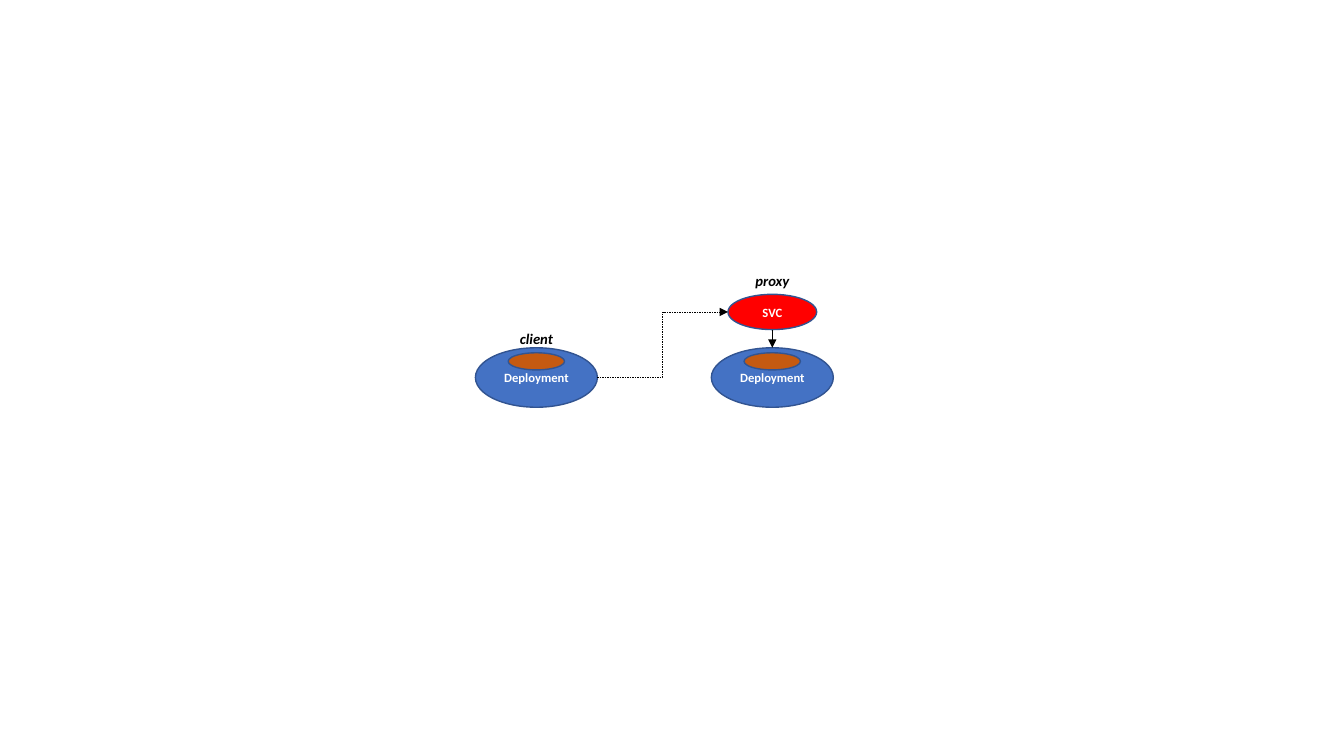
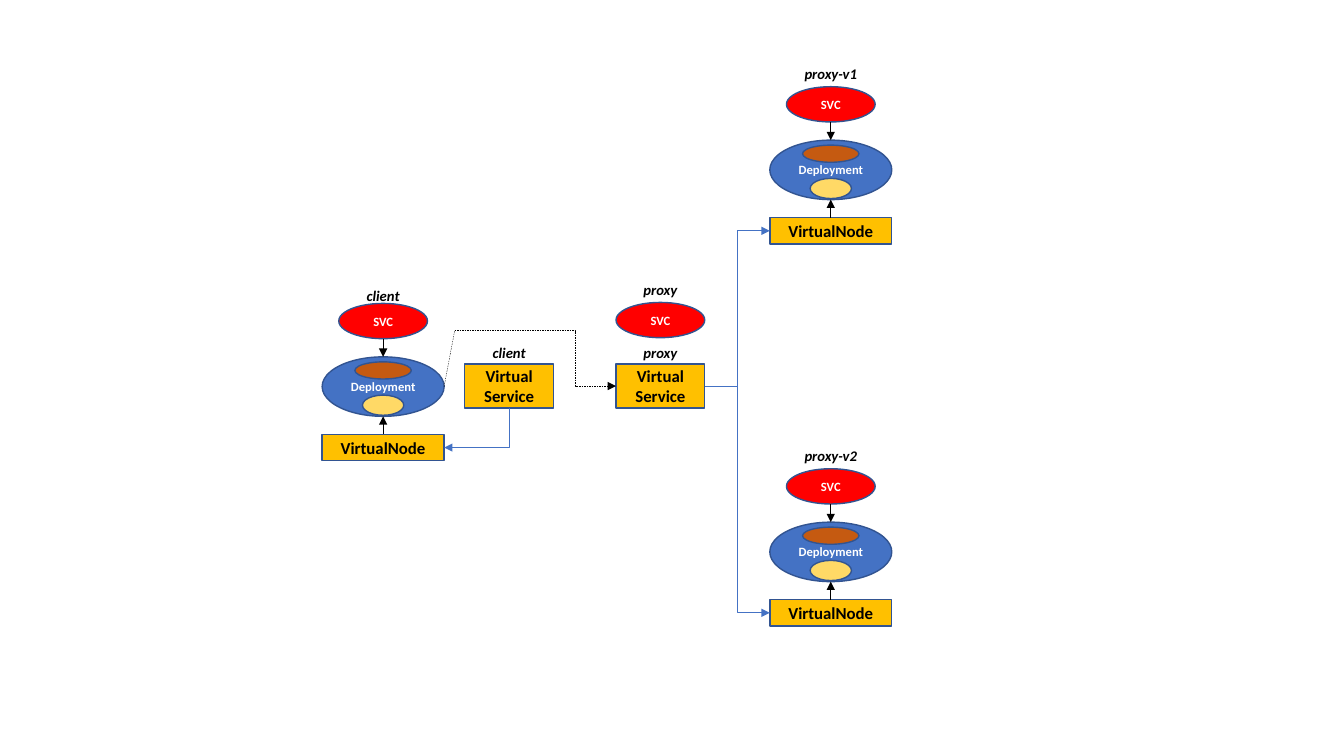
from dataclasses import dataclass

from lxml import etree
from pptx import Presentation
from pptx.dml.color import RGBColor
from pptx.enum.dml import MSO_LINE
from pptx.enum.shapes import MSO_CONNECTOR, MSO_SHAPE
from pptx.enum.text import MSO_ANCHOR, MSO_AUTO_SIZE, PP_ALIGN
from pptx.oxml.ns import qn
from pptx.shapes.autoshape import Shape
from pptx.shapes.connector import Connector
from pptx.slide import Slide
from pptx.util import Inches, Pt

OVAL, RECT = MSO_SHAPE.OVAL, MSO_SHAPE.RECTANGLE
STRAIGHT, ELBOW = MSO_CONNECTOR.STRAIGHT, MSO_CONNECTOR.ELBOW
CENTER, MIDDLE = PP_ALIGN.CENTER, MSO_ANCHOR.MIDDLE
FIT, DASH = MSO_AUTO_SIZE.SHAPE_TO_FIT_TEXT, MSO_LINE.DASH
TOP_SIDE = 0

FONT = "Calibri"
BLACK, WHITE, BLUE, OUTLINE = "000000", "FFFFFF", "4472C4", "325491"
RED, AMBER, BROWN, YELLOW = "FF0000", "FFC000", "C55A11", "FFD966"

# Vertical distances measured from the top of a deployment
SERVICE_RISE, POD_DROP, SIDECAR_DROP, NODE_DROP = 0.53, 0.05, 0.38, 0.77

Point = tuple[float, float]


@dataclass(frozen=True)
class Kind:
    """Look of one kind of diagram element."""
    geometry: MSO_SHAPE
    width: float
    height: float
    fill: str
    text: str = ""
    size: float = 9
    color: str = WHITE


DEPLOYMENT = Kind(OVAL, 1.21, 0.59, BLUE, "Deployment")
SERVICE = Kind(OVAL, 0.88, 0.35, RED, "SVC")
POD = Kind(OVAL, 0.56, 0.17, BROWN)
SIDECAR = Kind(OVAL, 0.41, 0.2, YELLOW)
VIRTUAL_NODE = Kind(RECT, 1.21, 0.26, AMBER, "VirtualNode", 12, BLACK)
VIRTUAL_SERVICE = Kind(RECT, 0.88, 0.44, AMBER, "Virtual Service", 12, BLACK)


@dataclass(frozen=True)
class Workload:
    """A deployment with its label and the parts around it."""
    name: str
    center: float
    top: float
    label_rise: float = 0.8
    label_width: float = 0.54
    has_service: bool = True
    in_mesh: bool = True

    @property
    def middle(self) -> float:
        return self.top + DEPLOYMENT.height / 2

    @property
    def left(self) -> float:
        return self.center - DEPLOYMENT.width / 2

    @property
    def right(self) -> float:
        return self.center + DEPLOYMENT.width / 2

    @property
    def node_middle(self) -> float:
        return self.top + NODE_DROP + VIRTUAL_NODE.height / 2


def rgb(color: str) -> RGBColor:
    return RGBColor.from_string(color)


def write(shape: Shape, text: str, size: float, color: str, italic: bool = False) -> None:
    shape.text_frame.text = text
    for para in shape.text_frame.paragraphs:
        para.alignment = CENTER
        for span in para.runs:
            font = span.font
            font.name, font.size, font.bold, font.italic = FONT, Pt(size), True, italic
            font.color.rgb = rgb(color)


def add_part(page: Slide, kind: Kind, center: float, top: float) -> Shape:
    part = page.shapes.add_shape(kind.geometry, Inches(center - kind.width / 2), Inches(top),
                                 Inches(kind.width), Inches(kind.height))
    part.shadow.inherit = False
    part.fill.solid()
    part.fill.fore_color.rgb = rgb(kind.fill)
    part.line.color.rgb = rgb(OUTLINE)
    part.line.width = Pt(1)
    if kind.text:
        part.text_frame.word_wrap = True
        part.text_frame.vertical_anchor = MIDDLE
        write(part, kind.text, kind.size, kind.color)
    return part


def add_label(page: Slide, text: str, center: float, top: float, width: float = 0.54) -> None:
    box = page.shapes.add_textbox(Inches(center - width / 2), Inches(top),
                                  Inches(width), Inches(0.28))
    box.text_frame.word_wrap = False
    box.text_frame.auto_size = FIT
    write(box, text, 10.5, BLACK, italic=True)


def add_line(page: Slide, start: Point, end: Point, color: str = BLACK, elbow: bool = False,
             dashed: bool = False, arrow: bool = True) -> Connector:
    line = page.shapes.add_connector(ELBOW if elbow else STRAIGHT,
                                     *(Inches(value) for value in (*start, *end)))
    line.line.color.rgb = rgb(color)
    line.line.width = Pt(0.25 if dashed else 0.5)
    if dashed:
        line.line.dash_style = DASH
    properties = line.element.spPr
    if arrow:
        etree.SubElement(properties.find(qn("a:ln")), qn("a:tailEnd"), type="triangle")
    etree.SubElement(properties, qn("a:effectLst"))
    return line


def bend_at(line: Connector, fraction: float) -> None:
    """Move the upright part of an elbow along its width."""
    guides = line.element.spPr.find(qn("a:prstGeom")).get_or_add_avLst()
    etree.SubElement(guides, qn("a:gd"), name="adj1", fmla=f"val {round(fraction * 100000)}")


def add_corner(page: Slide, start: Point, end: Point, color: str) -> None:
    """Arrow that runs down from start, then left to end."""
    (right, top), (left, bottom) = start, end
    center, middle = (left + right) / 2, (top + bottom) / 2
    half_width, half_height = (bottom - top) / 2, (right - left) / 2
    corner = add_line(page, (center - half_width, middle - half_height),
                      (center + half_width, middle + half_height), color, elbow=True)
    properties = corner.element.spPr
    properties.find(qn("a:prstGeom")).set("prst", "bentConnector2")
    properties.find(qn("a:xfrm")).set("rot", str(90 * 60000))


def add_workload(page: Slide, item: Workload) -> None:
    center, top = item.center, item.top
    add_part(page, DEPLOYMENT, center, top)
    add_part(page, POD, center, top + POD_DROP)
    if item.has_service:
        service_top = top - SERVICE_RISE
        add_part(page, SERVICE, center, service_top)
        add_line(page, (center, service_top + SERVICE.height), (center, top))
    if item.in_mesh:
        add_part(page, SIDECAR, center, top + SIDECAR_DROP)
        node_top = top + NODE_DROP
        node = add_part(page, VIRTUAL_NODE, center, node_top)
        link = add_line(page, (center, node_top), (center, top + DEPLOYMENT.height))
        link.begin_connect(node, TOP_SIDE)
    add_label(page, item.name, center, top - item.label_rise, item.label_width)


def build_plain_page(page: Slide) -> None:
    client = Workload("client", 5.32, 3.45, label_rise=0.23, has_service=False, in_mesh=False)
    server = Workload("proxy", 7.66, 3.45, in_mesh=False)
    for item in (client, server):
        add_workload(page, item)
    service_side = (server.center - SERVICE.width / 2,
                    server.top - SERVICE_RISE + SERVICE.height / 2)
    add_line(page, (client.right, client.middle), service_side, elbow=True, dashed=True)


def build_mesh_page(page: Slide) -> None:
    client = Workload("client", 3.8, 3.54, label_rise=0.74)
    versions = [Workload(f"proxy-v{number}", 8.24, top, label_width=0.73)
                for number, top in ((1, 1.39), (2, 5.18))]
    for item in (client, *versions):
        add_workload(page, item)

    # Virtual services and the plain service of the server
    client_center, server_center, top = 5.05, 6.55, 3.61
    for name, center in (("client", client_center), ("proxy", server_center)):
        add_part(page, VIRTUAL_SERVICE, center, top)
        add_label(page, name, center, top - 0.25)
    add_part(page, SERVICE, server_center, 3)
    add_label(page, "proxy", server_center, 2.74)

    # Routes from virtual services to virtual nodes
    half = VIRTUAL_SERVICE.width / 2
    middle = top + VIRTUAL_SERVICE.height / 2
    add_corner(page, (client_center, top + VIRTUAL_SERVICE.height),
               (client.right, client.node_middle), BLUE)
    for item in versions:
        add_line(page, (server_center + half, middle), (item.left, item.node_middle),
                 BLUE, elbow=True)

    # Request from the client to the server
    turn = (4.51, 3.28)
    add_line(page, (client.right, client.middle), turn, dashed=True, arrow=False)
    request = add_line(page, turn, (server_center - half, middle), elbow=True, dashed=True)
    bend_at(request, 0.75)


def main() -> None:
    deck = Presentation()
    deck.slide_width, deck.slide_height = Inches(13.33), Inches(7.5)
    blank = deck.slide_layouts.get_by_name("Blank")
    for build in (build_plain_page, build_mesh_page):
        build(deck.slides.add_slide(blank))
    deck.save("out.pptx")


if __name__ == "__main__":
    main()
